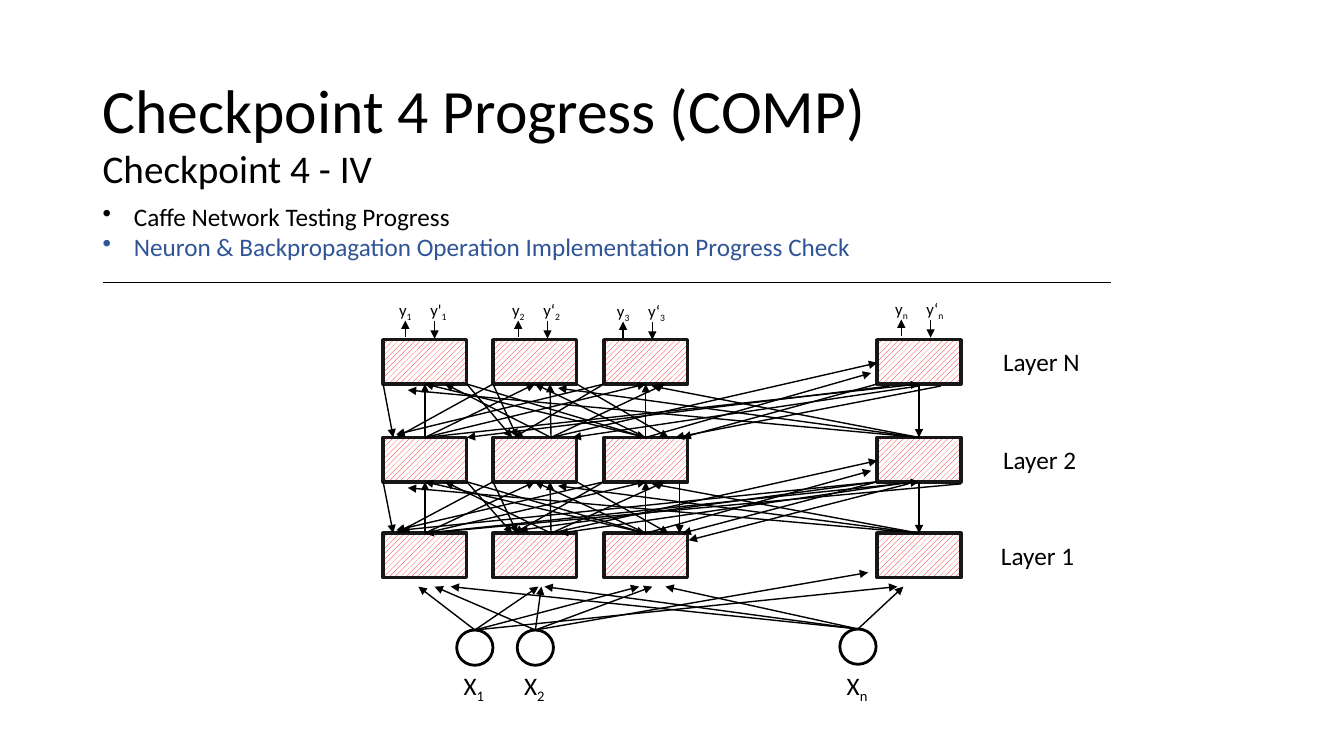
import pptx
import pptx.util
import pptx.dml.color
import pptx.enum.dml
import pptx.enum.shapes
import pptx.enum.text
from pptx.oxml.ns import qn
from lxml import etree

Inches = pptx.util.Inches
Pt = pptx.util.Pt
SHAPE = pptx.enum.shapes.MSO_SHAPE
ANCHOR = pptx.enum.text.MSO_ANCHOR

COLORS = {"ink": "000000", "accent": "2F5597", "border": "181717",
          "hatch": "FF0000", "paper": "FFFFFF"}
FONT = "Calibri"

NEURON_W, NEURON_H = 0.83, 0.44
INPUT_W, INPUT_H = 0.36, 0.35
COLUMNS = [3.8, 4.89, 5.99, 8.7]
LAST = len(COLUMNS) - 1
LAYERS = [("Layer N", 9.85, 3.37), ("Layer 2", 9.85, 4.34), ("Layer 1", 9.83, 5.29)]
INPUTS = [("1", 4.53, 6.25), ("2", 5.13, 6.25), ("n", 8.33, 6.24)]
OUTPUTS = [("1", "y'", 3.86, 2.92), ("2", "y‘", 4.98, 2.92),
           ("3", "y‘", 6.02, 2.93), ("n", "y‘", 8.78, 2.91)]

INPUT_GAP = 0.09
INPUT_LANDING = [(0.35, 0.16), (0.45, 0.03), (0.35, 0.13), (0.2, 0.03)]
FORWARD_START = [0, 0.16, 0, 0]
FORWARD_LANDING = [[0, 0, 0, 0], [0.2, 0.15, 0.19], [0, 0, 0], [-0.17, 0.23, 0.06]]
SIDE_LANDING = {1: (0, 0.21), 2: (0.06, 0.11)}
BACKWARD_LANDING = [[0.1, 0.13, 0.13, 0.18], [0.19, 0.24, 0.21, 0.26],
                    [0.41, 0.64, 0.75, 0.78]]
UPPER_OMITTED = {(LAST, 0), (LAST, 1), (2, 2)}
UPPER_FEEDBACK = [(0.12, 0.83), (0.41, 0.79), (0.63, 0.71)]
LOWER_FEEDBACK = [(0.83, 0.42), (0.21, 0.66), (0.31, 0.84)]


def rgb(name):
    return pptx.dml.color.RGBColor.from_string(COLORS[name])


def center(column):
    return COLUMNS[column] + NEURON_W / 2


def style_paragraph(p, size, color="ink"):
    p.font.name = FONT
    p.font.size = Pt(size)
    p.font.color.rgb = rgb(color)


def add_text(s, x, y, w, h, text, size, sub=None, anchor=ANCHOR.TOP, spacing=None):
    tf = s.shapes.add_textbox(Inches(x), Inches(y), Inches(w), Inches(h)).text_frame
    tf.word_wrap = True
    tf.vertical_anchor = anchor
    p = tf.paragraphs[0]
    style_paragraph(p, size)
    p.line_spacing = spacing
    p.add_run().text = text
    if sub:
        r = p.add_run()
        r.text = sub
        r.font._element.set("baseline", "-25000")
    return tf


def add_bullets(s, x, y, w, h, items, size):
    tf = add_text(s, x, y, w, h, items[0][0], size)
    for text, color in items[1:]:
        tf.add_paragraph().text = text
    for p, (text, color) in zip(tf.paragraphs, items):
        style_paragraph(p, size, color)
        pPr = p._p.get_or_add_pPr()
        pPr.set("marL", str(Inches(0.31)))
        pPr.set("indent", str(-Inches(0.31)))
        bullet = etree.Element(qn("a:buChar"), char="•")
        pPr.insert_element_before(bullet, "a:tabLst", "a:defRPr", "a:extLst")


def add_line(s, x1, y1, x2, y2, width=1, arrow=True):
    line = s.shapes.add_connector(pptx.enum.shapes.MSO_CONNECTOR.STRAIGHT,
                                  Inches(x1), Inches(y1), Inches(x2), Inches(y2))
    line.line.width = Pt(width)
    line.line.color.rgb = rgb("ink")
    if arrow:
        etree.SubElement(line.line._get_or_add_ln(), qn("a:tailEnd"), type="triangle")
    etree.SubElement(line._element.spPr, qn("a:effectLst"))


def add_outline(s, kind, x, y, w, h, color, width):
    sp = s.shapes.add_shape(kind, Inches(x), Inches(y), Inches(w), Inches(h))
    sp.shadow.inherit = False
    sp.line.color.rgb = rgb(color)
    sp.line.width = Pt(width)
    return sp


def add_neuron(s, x, y):
    sp = add_outline(s, SHAPE.RECTANGLE, x, y, NEURON_W, NEURON_H, "border", 2.5)
    sp.fill.patterned()
    sp.fill.pattern = pptx.enum.dml.MSO_PATTERN.WIDE_UPWARD_DIAGONAL
    sp.fill.fore_color.rgb = rgb("hatch")
    sp.fill.back_color.rgb = rgb("paper")


def add_layer(s, label, label_x, y):
    for x in COLUMNS:
        add_neuron(s, x, y)
    add_text(s, label_x, y + 0.02, 1.03, 0.4, label, 18)


def add_input(s, index, name, x, y, layer_y):
    add_outline(s, SHAPE.OVAL, x, y, INPUT_W, INPUT_H, "ink", 2).fill.background()
    add_text(s, x - 0.03, 6.6, 0.43, 0.4, "X", 18, sub=name)
    for column, (first, step) in enumerate(INPUT_LANDING):
        end_x = COLUMNS[column] + first + step * index
        end_y = layer_y + NEURON_H + INPUT_GAP
        if (index, column) == (1, LAST):
            end_x, end_y = COLUMNS[LAST] - 0.09, layer_y + 0.39
        add_line(s, x + INPUT_W / 2, y, end_x, end_y)


def add_forward_links(s, top, bottom):
    for source, shifts in enumerate(FORWARD_LANDING):
        start_x = center(source) + FORWARD_START[source]
        for target, shift in enumerate(shifts):
            drop = 0.02 * (LAST - target) if source == LAST else 0
            add_line(s, start_x, bottom, center(target) + shift, top + drop)
        if source in SIDE_LANDING:
            gap, rise = SIDE_LANDING[source]
            add_line(s, start_x, bottom, COLUMNS[LAST] - gap, top - rise)


def add_backward_links(s, top, bottom, omitted):
    for target, landings in enumerate(BACKWARD_LANDING):
        for source, landing in enumerate(landings):
            if (source, target) in omitted:
                continue
            end_x = COLUMNS[target] + landing
            start_x = COLUMNS[source] + (NEURON_W if source < target else 0)
            if source == target == 2:
                start_x = end_x
            lift = 0.03 if source - target >= 2 else 0
            add_line(s, start_x, top, end_x, bottom - lift)
    add_line(s, center(LAST), top, center(LAST), bottom)


def add_feedback(s, top, bottom, feedback):
    for x, (leave, landing) in zip(COLUMNS, feedback):
        below = 0.07 if landing > NEURON_W else 0
        add_line(s, COLUMNS[LAST] + leave, top + 0.02, x + landing, bottom + below)


def add_output(s, name, expected, x, y):
    add_text(s, x + 0.31, y, 0.41, 0.3, expected, 12, sub=name)
    add_text(s, x, y, 0.41, 0.3, "y", 12, sub=name)
    add_line(s, x + 0.16, y + 0.42, x + 0.16, y + 0.26)
    add_line(s, x + 0.45, y + 0.26, x + 0.45, y + 0.44)


def main():
    prs = pptx.Presentation()
    prs.slide_width = Inches(13.33)
    prs.slide_height = Inches(7.5)
    s = prs.slides.add_slide(prs.slide_layouts[6])

    add_text(s, 0.92, 0.4, 11.5, 1.45, "Checkpoint 4 Progress (COMP)", 44,
             anchor=ANCHOR.MIDDLE, spacing=0.9)
    add_bullets(s, 0.92, 1.95, 11.5, 0.71, [
        ("Caffe Network Testing Progress", "ink"),
        ("Neuron & Backpropagation Operation Implementation Progress Check", "accent"),
    ], 18)
    add_text(s, 0.92, 1.41, 11.5, 0.56, "Checkpoint 4 - IV", 28,
             anchor=ANCHOR.MIDDLE, spacing=0.9)
    add_line(s, 1.02, 2.8, 11.02, 2.8, width=0.5, arrow=False)

    for layer in LAYERS:
        add_layer(s, *layer)
    layer_tops = [y for label, label_x, y in LAYERS]
    for index, (name, x, y) in enumerate(INPUTS):
        add_input(s, index, name, x, y, layer_tops[-1])
    band_rules = [(UPPER_OMITTED, UPPER_FEEDBACK), (set(), LOWER_FEEDBACK)]
    for upper, lower, (omitted, feedback) in zip(layer_tops, layer_tops[1:], band_rules):
        top = upper + NEURON_H
        add_forward_links(s, top, lower)
        add_backward_links(s, top, lower, omitted)
        add_feedback(s, top, lower, feedback)
    for output in OUTPUTS:
        add_output(s, *output)

    prs.save("out.pptx")


main()
